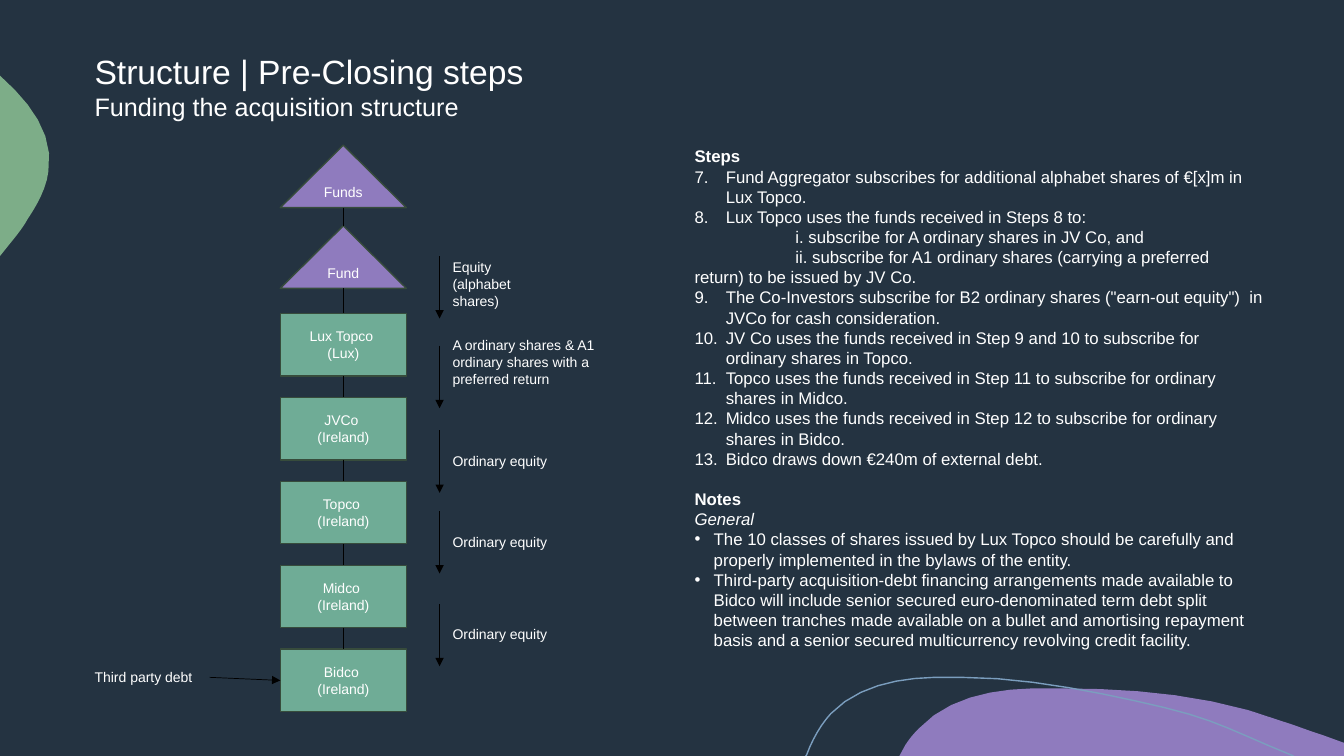
from pptx import Presentation
from pptx.dml.color import RGBColor
from pptx.enum.shapes import MSO_CONNECTOR, MSO_SHAPE
from pptx.enum.text import MSO_ANCHOR, MSO_AUTO_SIZE, PP_ALIGN
from pptx.oxml.ns import qn
from pptx.util import Inches, Pt
from lxml.etree import SubElement

COLORS = {
    "navy": "243341", "purple": "8F7BBE", "leaf": "7DAD88", "blue": "7B9EBE",
    "teal": "6FAC96", "edge": "374C3C", "white": "FFFFFF", "black": "000000",
}
TOP, LEFT, BOTTOM = 0, 1, 2


def rgb(name):
    return RGBColor.from_string(COLORS[name])


def trace(start, segments, steps=6):
    """Points along segments: a pair is a line end, three pairs are a cubic curve."""
    points = [start]
    for seg in segments:
        if len(seg) == 2:
            points.append(seg)
            continue
        (x0, y0), (x1, y1, x2, y2, x3, y3) = points[-1], seg
        for i in range(1, steps + 1):
            t = i / steps
            a, b, c, d = (1 - t) ** 3, 3 * t * (1 - t) ** 2, 3 * t * t * (1 - t), t ** 3
            points.append((a * x0 + b * x1 + c * x2 + d * x3,
                           a * y0 + b * y1 + c * y2 + d * y3))
    return points


class SlideBuilder:
    font = "Arial"

    def __init__(self, prs):
        self.s = prs.slides.add_slide(prs.slide_layouts[6])
        self.s.background.fill.solid()
        self.s.background.fill.fore_color.rgb = rgb("navy")

    def paint(self, sp, fill=None, line=None):
        sp.shadow.inherit = False
        if fill:
            sp.fill.solid()
            sp.fill.fore_color.rgb = rgb(fill)
        else:
            sp.fill.background()
        if line:
            sp.line.color.rgb = rgb(line)
            sp.line.width = Pt(1)
        else:
            sp.line.fill.background()

    def curve(self, start, segments, fill=None, line=None):
        points = [(Inches(x), Inches(y)) for x, y in trace(start, segments)]
        fb = self.s.shapes.build_freeform(*points[0])
        fb.add_line_segments(points[1:], close=bool(fill))
        self.paint(fb.convert_to_shape(), fill, line)

    def run(self, p, text, size, bold=False, italic=False):
        r = p.add_run()
        r.text = text
        r.font.name, r.font.size = self.font, Pt(size)
        r.font.bold, r.font.italic = bold, italic
        r.font.color.rgb = rgb("white")

    def indent(self, p, left, first):
        pPr = p._p.get_or_add_pPr()
        pPr.set("marL", str(Inches(left)))
        pPr.set("indent", str(Inches(first)))
        return pPr

    def bullet(self, p, hang, start=None):
        """Number the paragraph from start, or give it a dot when there is no start."""
        pPr = self.indent(p, hang, -hang)
        SubElement(pPr, qn("a:buFont"), typeface=self.font)
        if start:
            SubElement(pPr, qn("a:buAutoNum"), type="arabicPeriod", startAt=str(start))
        else:
            SubElement(pPr, qn("a:buChar"), char="•")

    def text_box(self, x, y, w, h, wrap=True):
        tf = self.s.shapes.add_textbox(*map(Inches, (x, y, w, h))).text_frame
        tf.word_wrap = wrap
        tf.auto_size = MSO_AUTO_SIZE.SHAPE_TO_FIT_TEXT
        return tf

    def label(self, x, y, w, h, text, wrap=True):
        self.run(self.text_box(x, y, w, h, wrap).paragraphs[0], text, 10)

    def node(self, kind, x, y, w, h, fill, lines):
        sp = self.s.shapes.add_shape(kind, *map(Inches, (x, y, w, h)))
        self.paint(sp, fill, "edge")
        tf = sp.text_frame
        tf.word_wrap = True
        tf.vertical_anchor = MSO_ANCHOR.MIDDLE
        for i, line in enumerate(lines):
            p = tf.add_paragraph() if i else tf.paragraphs[0]
            p.alignment = PP_ALIGN.CENTER
            self.run(p, line, 10)
        return sp

    def link(self, x1, y1, x2, y2, width=1, arrow=False, begin=None, end=None):
        """Draw a line; begin and end are optional (shape, side) joins."""
        c = self.s.shapes.add_connector(MSO_CONNECTOR.STRAIGHT,
                                        *map(Inches, (x1, y1, x2, y2)))
        if begin:
            c.begin_connect(*begin)
        if end:
            c.end_connect(*end)
        c.line.color.rgb = rgb("black")
        c.line.width = Pt(width)
        spPr = c.element.spPr
        if arrow:
            SubElement(spPr.find(qn("a:ln")), qn("a:tailEnd"), type="triangle")
        SubElement(spPr, qn("a:effectLst"))


def add_decoration(b):
    b.curve((10.54, 6.83), [
        (11.28, 6.83, 12.04, 6.9, 12.73, 7.16), (12.86, 7.2, 12.98, 7.25, 13.11, 7.29),
        (13.33, 7.37), (13.33, 7.5), (8.92, 7.5), (8.98, 7.39),
        (9.02, 7.33, 9.06, 7.28, 9.11, 7.23), (9.39, 6.93, 9.82, 6.84, 10.23, 6.83),
        (10.33, 6.83, 10.43, 6.83, 10.54, 6.83)], fill="purple")
    b.curve((0, 0.75), [
        (0.01, 0.76), (0.3, 1.02, 0.54, 1.33, 0.48, 1.7),
        (0.46, 1.87, 0.37, 2.03, 0.27, 2.18), (0.24, 2.24, 0.17, 2.33, 0.08, 2.44),
        (0, 2.54)], fill="leaf")
    b.curve((7.99, 7.5), [
        (8, 7.49), (8.06, 7.33, 8.14, 7.19, 8.24, 7.08),
        (8.5, 6.81, 8.89, 6.73, 9.26, 6.72), (9.55, 6.72),
        (10.22, 6.72, 11, 6.89, 11.55, 7.02),
        (12.09, 7.15, 12.26, 7.27, 12.83, 7.5)], line="blue")


def add_steps(b):
    rows = [
        ("head", "Steps"),
        (7, "Fund Aggregator subscribes for additional alphabet shares of €[x]m in\nLux Topco."),
        (7, "Lux Topco uses the funds received in Steps 8 to:"),
        ("sub", "i. subscribe for A ordinary shares in JV Co, and"),
        ("sub", "ii. subscribe for A1 ordinary shares (carrying a preferred\n"
                "return) to be issued by JV Co."),
        (9, "The Co-Investors subscribe for B2 ordinary shares (\"earn-out equity\")  in "
            "JVCo for cash consideration."),
        (9, "JV Co uses the funds received in Step 9 and 10 to subscribe for ordinary "
            "shares in Topco."),
        (9, "Topco uses the funds received in Step 11 to subscribe for ordinary shares in Midco."),
        (9, "Midco uses the funds received in Step 12 to subscribe for ordinary shares in Bidco."),
        (9, "Bidco draws down €240m of external debt."),
        ("head", "Notes"),
        ("italic", "General"),
        ("dot", "The 10 classes of shares issued by Lux Topco should be carefully and "
                "properly implemented in the bylaws of the entity."),
        ("dot", "Third-party acquisition-debt financing arrangements made available to "
                "Bidco will include senior secured euro-denominated term debt split between "
                "tranches made available on a bullet and amortising repayment basis and a "
                "senior secured multicurrency revolving credit facility."),
    ]
    tf = b.text_box(6.79, 1.4, 5.85, 5.55)
    for i, (style, text) in enumerate(rows):
        p = tf.add_paragraph() if i else tf.paragraphs[0]
        if style == "head" and i:
            p.space_before = Pt(14.4)
        elif style == "sub":
            b.indent(p, 0, 1)
        elif style == "dot":
            b.bullet(p, 0.19)
        elif isinstance(style, int):
            b.bullet(p, 0.31, style)
        for n, line in enumerate(text.split("\n")):
            if n:
                p.add_line_break()
            b.run(p, line, 12, style == "head", style == "italic")


def add_structure(b):
    x, w, h = 2.78, 1.25, 0.62
    mid = x + w / 2
    fund_tops = (1.44, 2.24)
    for y, name in zip(fund_tops, ("Funds", "Fund")):
        b.node(MSO_SHAPE.ISOSCELES_TRIANGLE, x, y, w, h, "purple", [name])
    b.link(mid, fund_tops[0] + h, mid, fund_tops[1])

    above, bottom = None, fund_tops[1] + h
    companies = [("Lux Topco ", "(Lux)")]
    companies += [(name, "(Ireland)") for name in ("JVCo ", "Topco ", "Midco ", "Bidco ")]
    for i, lines in enumerate(companies):
        y = 3.11 + i * 3.33 / 4
        box = b.node(MSO_SHAPE.RECTANGLE, x, y, w, h, "teal", lines)
        b.link(mid, bottom, mid, y, begin=above and (above, BOTTOM), end=(box, TOP))
        above, bottom = box, y + h

    b.label(0.84, 6.58, 1.24, 0.27, "Third party debt", wrap=False)
    b.link(2.08, 6.72, x, 6.75, 0.5, True, end=(above, LEFT))


def add_equity_flows(b):
    arrow_x, label_x = 4.36, 4.39
    for y in (2.54, 3.43, 4.27, 5.07, 5.99):
        b.link(arrow_x, y, arrow_x, y + 0.62, 0.5, True)
    b.label(label_x, 2.52, 0.95, 0.61, "Equity (alphabet shares)")
    b.label(label_x, 3.29, 1.63, 0.77,
            "A ordinary shares & A1 ordinary shares with a preferred return")
    for y in (4.44, 5.24, 6.16):
        b.label(label_x, y, 1.2, 0.27, "Ordinary equity", wrap=False)


def main():
    prs = Presentation()
    prs.slide_width, prs.slide_height = Inches(13.33), Inches(7.5)
    b = SlideBuilder(prs)
    add_decoration(b)
    add_steps(b)
    tf = b.text_box(0.84, 0.46, 4.5, 0.81, wrap=False)
    b.run(tf.paragraphs[0], "Structure | Pre-Closing steps", 24)
    b.run(tf.add_paragraph(), "Funding the acquisition structure", 18)
    add_structure(b)
    add_equity_flows(b)
    prs.save("out.pptx")


if __name__ == "__main__":
    main()
